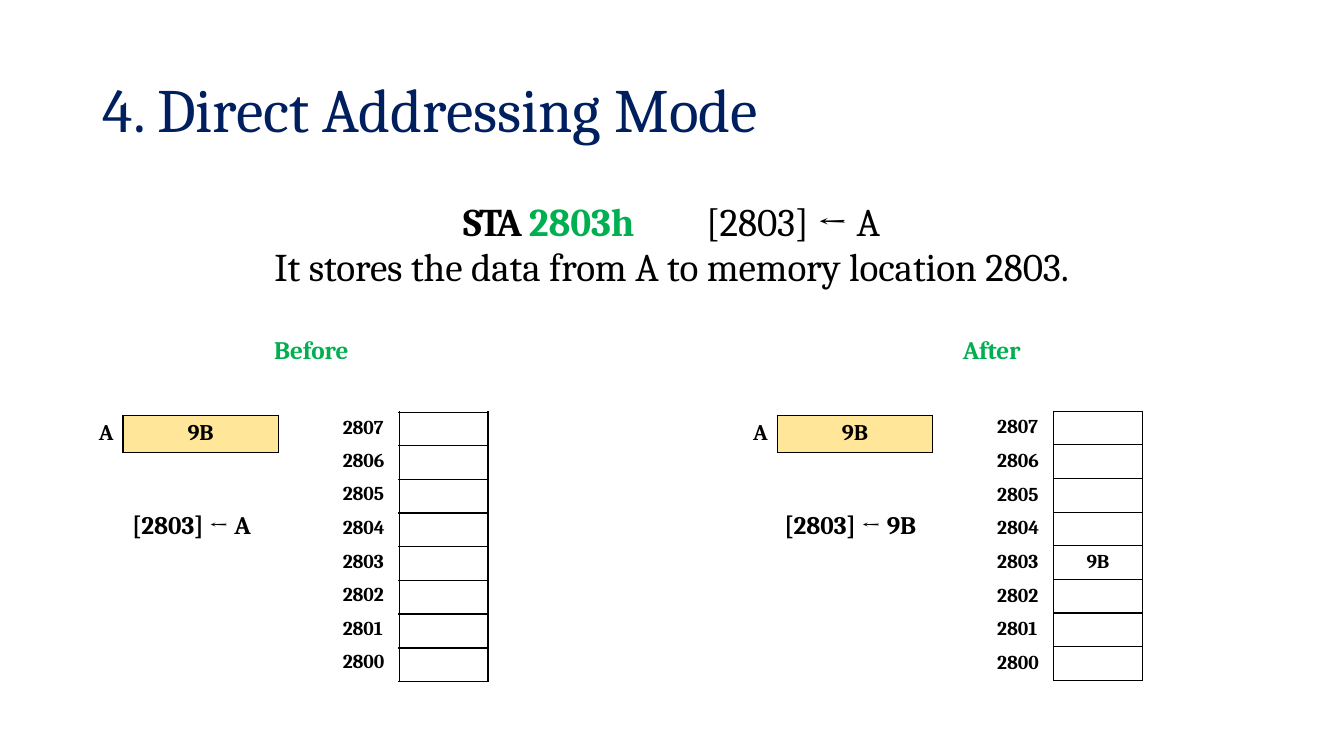
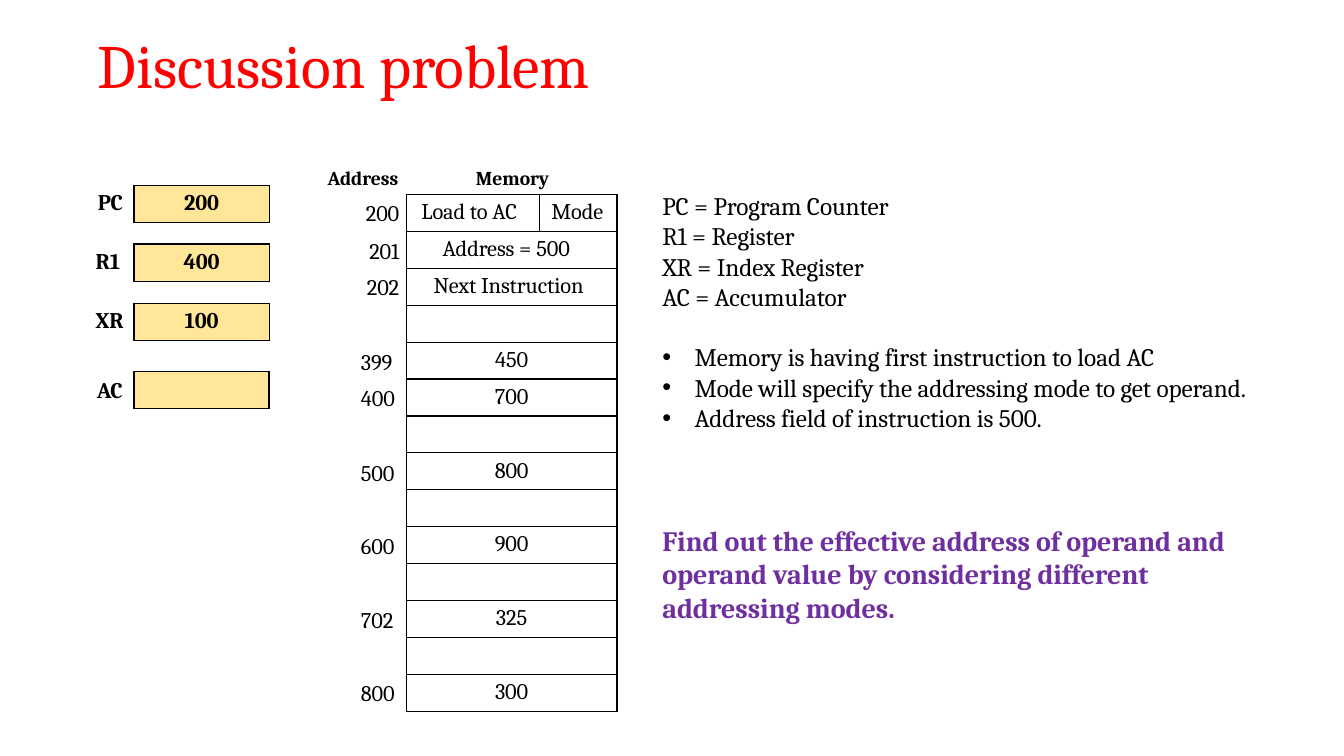
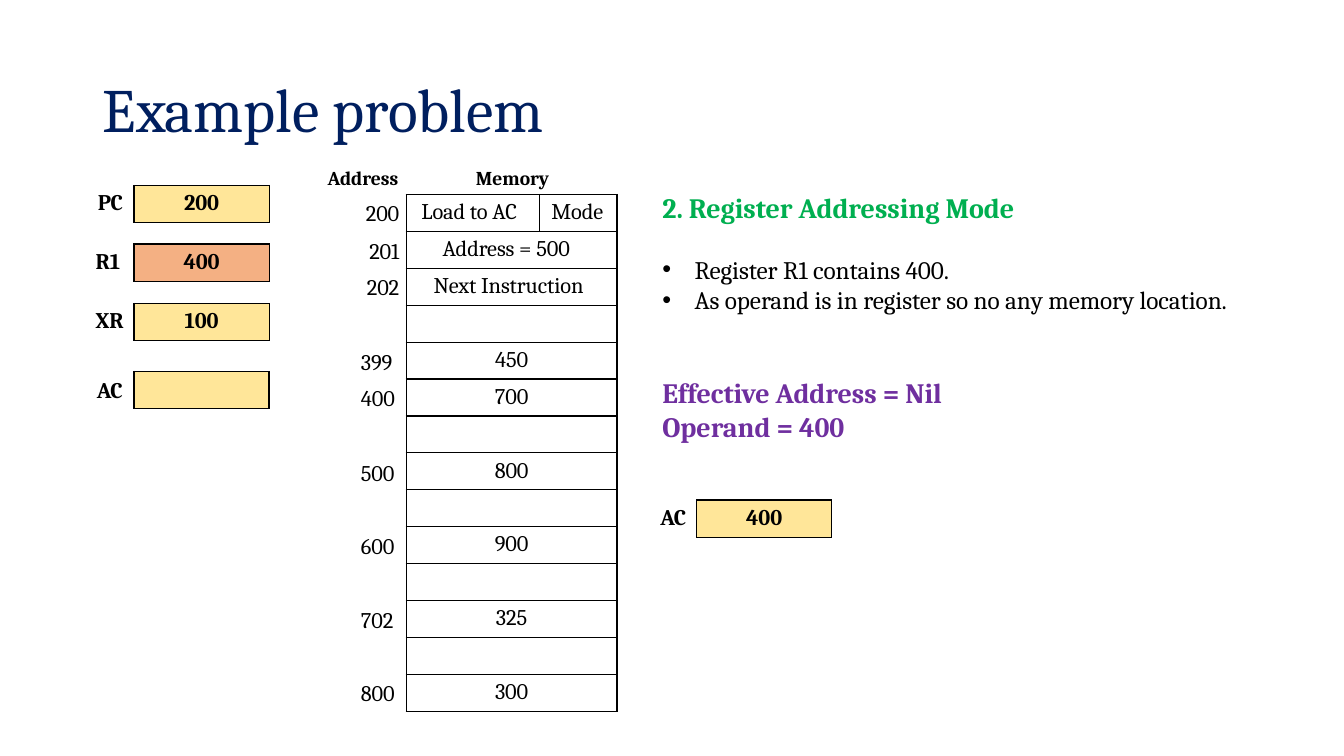
"""Builds three slides on processor addressing modes."""
from typing import NamedTuple

from lxml import etree
from pptx import Presentation
from pptx import util as u
from pptx.dml.color import RGBColor
from pptx.enum import text as t
from pptx.oxml.ns import qn

FACE = "Cambria"
BLACK = RGBColor(0x00, 0x00, 0x00)
NAVY = RGBColor(0x00, 0x1F, 0x5F)
RED = RGBColor(0xFF, 0x00, 0x00)
GREEN = RGBColor(0x00, 0xAF, 0x50)
PURPLE = RGBColor(0x6F, 0x2F, 0x9F)
CREAM = RGBColor(0xFF, 0xE6, 0x99)
PEACH = RGBColor(0xF4, 0xB0, 0x83)
LEFT, MID, RIGHT = t.PP_ALIGN.LEFT, t.PP_ALIGN.CENTER, t.PP_ALIGN.RIGHT
SCALE = 9144
FRAME = {
    "word_wrap": True,
    "auto_size": t.MSO_AUTO_SIZE.SHAPE_TO_FIT_TEXT,
    "vertical_anchor": t.MSO_ANCHOR.TOP,
    "margin_left": SCALE,
    "margin_top": SCALE,
    "margin_right": 0,
    "margin_bottom": 0,
}
CELL = {"margin_left": 0, "margin_top": 5 * SCALE, "margin_right": 0, "margin_bottom": 0}


class Box(NamedTuple):
    x: int
    y: int
    w: int
    h: int


class Run(NamedTuple):
    text: str
    size: int = 16
    ink: RGBColor = BLACK
    bold: bool = False
    track: int = -5


class Line(NamedTuple):
    runs: tuple[Run, ...]
    align: t.PP_ALIGN = LEFT
    pitch: float | None = None
    tab: int = 0
    dot: bool = False


class Reg(NamedTuple):
    x: int
    y: int
    wide: int
    name: str
    value: str
    track: int = -5
    span: int = 134


class Row(NamedTuple):
    addr: str = ""
    text: str = ""
    indent: int = 0


REGS = (
    Reg(83, 184, 50, "PC", "200"),
    Reg(81, 242, 52, "R1", "400"),
    Reg(81, 301, 52, "XR", "100"),
)
ROWS = (
    Row("200", "Load to AC", 15),
    Row("201", "Address = 500", 36),
    Row("202", "Next Instruction", 27),
    Row(),
    Row("399", "450"),
    Row("400", "700"),
    Row(),
    Row("500", "800"),
    Row(),
    Row("600", "900"),
    Row(),
    Row("702", "325"),
    Row(),
    Row("800", "300"),
)


def px(size: float) -> u.Emu:
    """Turn px into EMU."""
    return u.Emu(round(size * SCALE))


def put(item, vals: dict) -> None:
    """Set every attribute named in the dict."""
    for key, val in vals.items():
        setattr(item, key, val)


def place(item, box: Box) -> None:
    """Move and size a shape."""
    put(item, dict(zip(("left", "top", "width", "height"), map(px, box))))


def line(text: str, *look, **form) -> Line:
    """Make a line of one run."""
    return Line((Run(text, *look),), **form)


def write(frame, lines) -> None:
    """Write lines into a text frame."""
    for i, row in enumerate(lines):
        para = frame.add_paragraph() if i else frame.paragraphs[0]
        para.alignment = row.align
        if row.pitch:
            para.line_spacing = u.Pt(row.pitch)
        props = para._p.get_or_add_pPr()
        if row.dot:
            props.set("marL", str(px(32)))
            props.set("indent", str(-px(32)))
            etree.SubElement(props, qn("a:buFont"), typeface="Arial")
            etree.SubElement(props, qn("a:buChar"), char="•")
        if row.tab:
            tabs = etree.SubElement(props, qn("a:tabLst"))
            etree.SubElement(tabs, qn("a:tab"), pos=str(px(row.tab)), algn="l")
        for part in row.runs:
            run = para.add_run()
            run.text = part.text
            put(run.font, {"name": FACE, "size": u.Pt(part.size), "bold": part.bold})
            run.font.color.rgb = part.ink
            run._r.get_or_add_rPr().set("spc", str(part.track))


def note(slide, box: Box, *lines: Line) -> None:
    """Add a text box."""
    frame = slide.shapes.add_textbox(*map(px, box)).text_frame
    put(frame, FRAME)
    write(frame, lines)


def start(deck, title: str, box: Box, ink: RGBColor):
    """Add a slide with its title."""
    slide = deck.slides.add_slide(deck.slide_layouts[5])
    head = slide.shapes.title
    place(head, box)
    put(head.text_frame, FRAME)
    write(head.text_frame, [line(title, 44, ink)])
    return slide


def edge(cell, sides: str) -> None:
    """Draw the named sides of a cell and clear the others."""
    props = cell._tc.get_or_add_tcPr()
    for i, side in enumerate("LRTB"):
        rule = etree.Element(qn(f"a:ln{side}"), w="12700")
        if side in sides:
            paint = etree.SubElement(rule, qn("a:solidFill"))
            etree.SubElement(paint, qn("a:srgbClr"), val=str(BLACK))
        else:
            etree.SubElement(rule, qn("a:noFill"))
        props.insert(i, rule)


def grid(slide, x: int, y: int, cols, rows, sides):
    """Add a plain table with given borders per column."""
    box = Box(x, y, sum(cols), sum(rows))
    table = slide.shapes.add_table(len(rows), len(cols), *map(px, box)).table
    put(table, {"first_row": False, "horz_banding": False})
    for col, wide in zip(table.columns, cols):
        col.width = px(wide)
    for row, high in zip(table.rows, rows):
        row.height = px(high)
        for cell, side in zip(row.cells, sides):
            put(cell, CELL)
            cell.fill.background()
            edge(cell, side)
    return table


def enter(cell, row: Line, indent: int = 0) -> None:
    """Write one line into a cell."""
    cell.margin_left = px(indent)
    write(cell.text_frame, [row])


def calm(table) -> None:
    """Keep empty cells from stretching their rows."""
    for cell in table.iter_cells():
        if not cell.text_frame.text:
            for para in cell.text_frame.paragraphs:
                for old in para._p.findall(qn("a:endParaRPr")):
                    para._p.remove(old)
                etree.SubElement(para._p, qn("a:endParaRPr"), sz="1000")


def trace(shapes, paths, ink: RGBColor | None = None, close: bool = False) -> None:
    """Draw paths as one outline, filled when an ink is given."""
    pen = shapes.build_freeform(*paths[0][0], scale=SCALE)
    for i, (first, *rest) in enumerate(paths):
        if i:
            pen.move_to(*first)
        pen.add_line_segments(rest, close=close)
    shape = pen.convert_to_shape()
    shape.shadow.inherit = False
    if ink is None:
        shape.fill.background()
        shape.line.color.rgb = BLACK
        shape.line.width = u.Pt(1)
    else:
        shape.fill.solid()
        shape.fill.fore_color.rgb = ink
        shape.line.fill.background()


def empty(slide) -> None:
    """Draw the empty accumulator."""
    left, top, right, low = 133, 368, 267, 405
    shapes = slide.shapes.add_group_shape().shapes
    for ink, base in ((CREAM, low), (BLACK, top + 1)):
        corners = ((right, top), (left, top), (left, base), (right, base))
        trace(shapes, (corners,), ink, True)
    trace(shapes, tuple(((x, top), (x, low + 1)) for x in (left, right)))
    trace(shapes, (((left, low), (right + 1, low)),))
    note(slide, Box(95, 372, 32, 28), line("AC", 16, BLACK, True, -40))


def store(slide, reg: Reg, ink: RGBColor = CREAM) -> None:
    """Draw a named register."""
    table = grid(slide, reg.x, reg.y, (reg.wide, reg.span), (37,), ("R", "LRTB"))
    name, value = table.cell(0, 0), table.cell(0, 1)
    enter(name, line(reg.name, 16, BLACK, True, reg.track), 14)
    enter(value, line(reg.value, 16, BLACK, True, align=MID))
    value.fill.solid()
    value.fill.fore_color.rgb = ink


def label(table, indent: int) -> None:
    """Write the addresses 2807 down to 2800 in the first column."""
    for i in range(8):
        enter(table.cell(i, 0), line(str(2807 - i), 14, BLACK, True), indent)


def before(slide) -> None:
    """Draw the memory before the instruction."""
    left, top, right, low = 395, 409, 485, 676
    rules = [((x, top - 1), (x, low)) for x in (left + 1, right - 1)]
    for i in range(9):
        y = round(top + i * (low - top) / 8)
        rules.append(((left, y), (right, y)))
    trace(slide.shapes, rules)
    pitch = (low - top) / 8
    table = grid(slide, 326, 414, (74,), (28, *[pitch] * 6, 28), ("",))
    label(table, 14)
    for i in range(8):
        table.cell(i, 0).margin_top = px(4 if i else 0)


def after(slide) -> None:
    """Draw the memory after the instruction."""
    table = grid(slide, 987, 408, (58, 88), (267 / 8,) * 8, ("R", "LRTB"))
    label(table, 2)
    enter(table.cell(4, 1), line("9B", 14, BLACK, True, align=MID))
    calm(table)


def memory(slide, hot: str = "") -> None:
    """Draw the registers and the memory of the problem."""
    pitch = 513 / len(ROWS)
    table = grid(slide, 403, 193, (132, 77), (pitch,) * len(ROWS), ("LRTB", "LRTB"))
    for i, row in enumerate(ROWS):
        cell = table.cell(i, 0)
        if i:
            cell.merge(table.cell(i, 1))
        if row.text:
            enter(cell, line(row.text, align=LEFT if row.indent else MID), row.indent)
        if row.addr:
            box = Box(357, round(197 + i * pitch), 39, 28)
            note(slide, box, line(row.addr, align=RIGHT if i < 3 else LEFT))
    enter(table.cell(0, 1), line("Mode"), 12)
    calm(table)
    note(slide, Box(319, 164, 76, 25), line("Address", 14, BLACK, True, align=RIGHT))
    note(slide, Box(471, 164, 77, 25), line("Memory", 14, BLACK, True))
    for reg in REGS:
        store(slide, reg, PEACH if reg.name == hot else CREAM)
    empty(slide)


def direct(deck) -> None:
    """Build the direct addressing slide."""
    slide = start(deck, "4. Direct Addressing Mode", Box(101, 69, 688, 76), NAVY)
    code = (
        Run("STA ", 28, BLACK, True, -120),
        Run("2803h\t", 28, GREEN, True),
        Run("[2803] ← A", 28),
    )
    note(
        slide,
        Box(246, 197, 839, 92),
        Line(code, MID, 31.9, 241),
        line("It stores the data from A to memory location 2803.", 28, align=MID, pitch=31.9),
    )
    for x, word in ((271, "Before"), (954, "After")):
        note(slide, Box(x, 331, 100, 32), line(word, 18, GREEN, True))
    for x in (84, 733):
        store(slide, Reg(x, 412, 38, "A", "9B", span=154))
    before(slide)
    after(slide)
    for x, word in ((130, "[2803] ← A"), (777, "[2803] ← 9B")):
        note(slide, Box(x, 504, 145, 32), line(word, 18, BLACK, True, 0))


def problem(deck) -> None:
    """Build the discussion slide."""
    slide = start(deck, "Discussion problem", Box(96, 26, 633, 76), RED)
    memory(slide)
    terms = (
        "PC = Program Counter",
        "R1 = Register",
        "XR = Index Register",
        "AC = Accumulator",
    )
    note(slide, Box(656, 188, 240, 123), *(line(term, 18) for term in terms))
    facts = (
        "Memory is having first instruction to load AC",
        "Mode will specify the addressing mode to get operand.",
        "Address field of instruction is 500.",
    )
    note(slide, Box(656, 338, 613, 92), *(line(fact, 18, dot=True) for fact in facts))
    task = (
        "Find out the effective address of operand and operand value "
        "by considering different addressing modes."
    )
    note(slide, Box(656, 518, 576, 102), line(task, 20, PURPLE, True))


def example(deck) -> None:
    """Build the register addressing slide."""
    slide = start(deck, "Example problem", Box(101, 69, 463, 76), NAVY)
    memory(slide, "R1")
    note(slide, Box(656, 188, 364, 35), line("2. Register Addressing Mode", 20, GREEN, True))
    facts = (
        "Register R1 contains 400.",
        "As operand is in register so no any memory location.",
    )
    note(slide, Box(656, 251, 592, 62), *(line(fact, 18, dot=True) for fact in facts))
    result = ("Effective Address = Nil", "Operand = 400")
    note(slide, Box(656, 372, 300, 69), *(line(part, 20, PURPLE, True) for part in result))
    store(slide, Reg(641, 496, 50, "AC", "400", -40))


def main() -> None:
    """Build and save the deck."""
    deck = Presentation()
    put(deck, {"slide_width": px(1333), "slide_height": px(750)})
    for build in (direct, problem, example):
        build(deck)
    deck.save("out.pptx")


if __name__ == "__main__":
    main()
